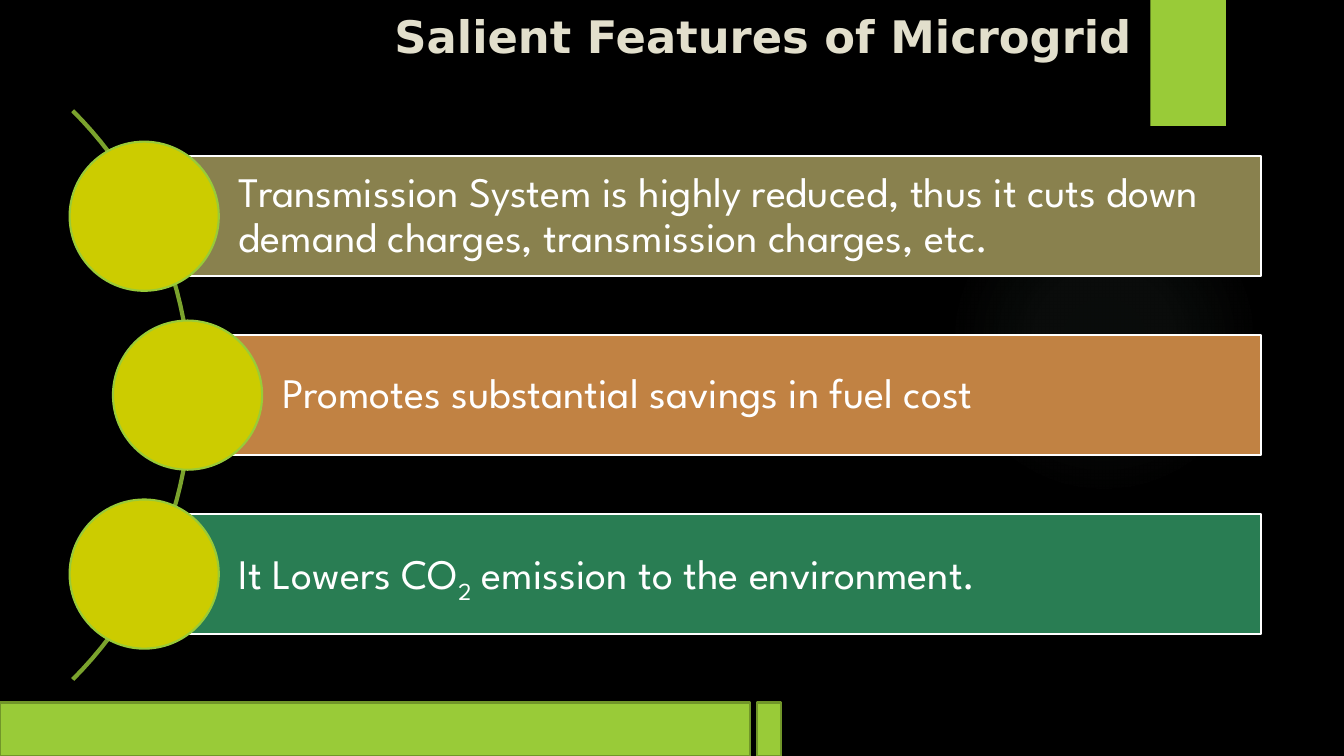
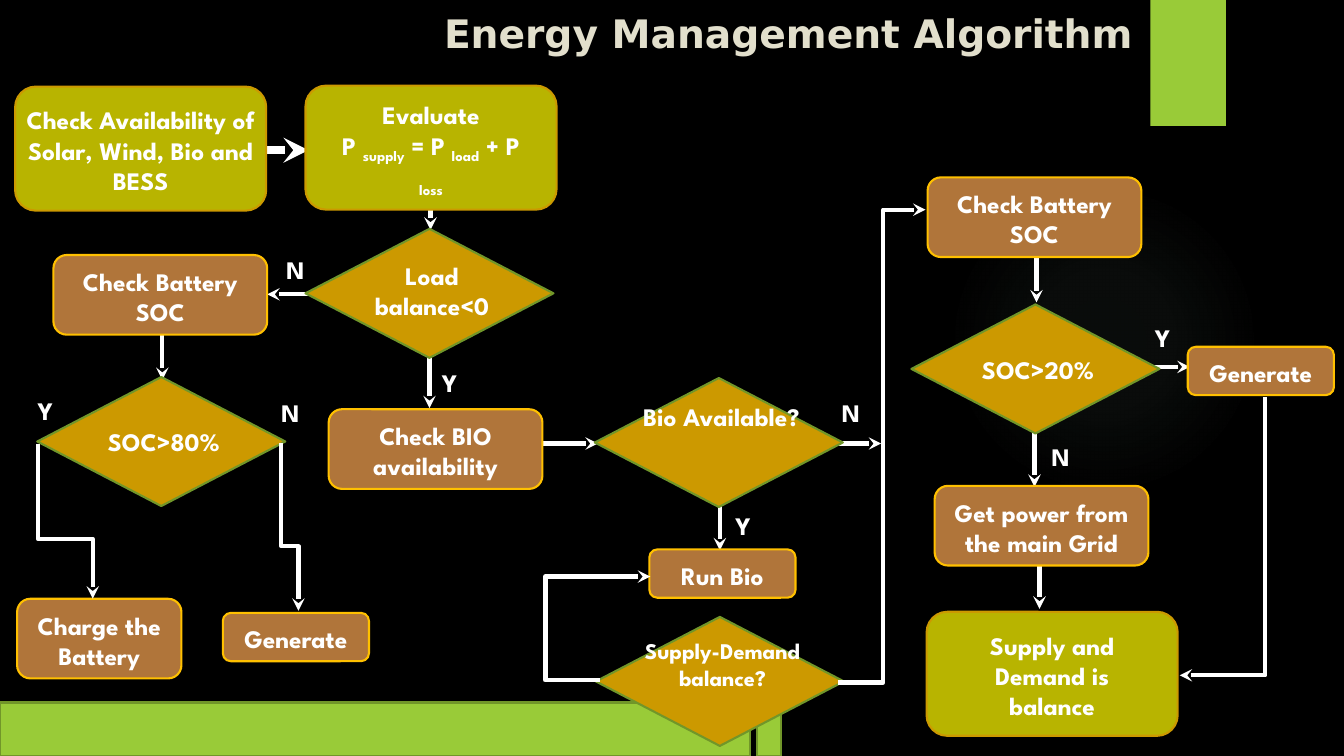
import math

import pptx
import pptx.dml.color
import pptx.enum.shapes
import pptx.enum.text
import pptx.oxml
import pptx.oxml.ns
import pptx.util

RGBColor = pptx.dml.color.RGBColor
Inches = pptx.util.Inches
Pt = pptx.util.Pt
SHAPE = pptx.enum.shapes.MSO_SHAPE
ALIGN = pptx.enum.text.PP_ALIGN
ANCHOR = pptx.enum.text.MSO_ANCHOR

BLACK = RGBColor(0x00, 0x00, 0x00)
WHITE = RGBColor(0xFF, 0xFF, 0xFF)
CREAM = RGBColor(0xE2, 0xDF, 0xCC)
LIME = RGBColor(0x99, 0xCB, 0x38)
DARK_LIME = RGBColor(0x71, 0x96, 0x29)
ARC_GREEN = RGBColor(0x7B, 0xA3, 0x2D)
YELLOW = RGBColor(0xCC, 0xCC, 0x00)
KHAKI = RGBColor(0x89, 0x81, 0x4E)
ORANGE = RGBColor(0xC1, 0x82, 0x43)
GREEN = RGBColor(0x29, 0x7D, 0x53)
OLIVE = RGBColor(0xB8, 0xB4, 0x00)
GOLD = RGBColor(0xCC, 0x99, 0x00)
BROWN = RGBColor(0xB0, 0x75, 0x3A)
AMBER = RGBColor(0xFF, 0xC0, 0x00)

TITLE_FONT = "DejaVu Sans"
BODY_FONT = "League Spartan"
TITLE_BOX = (2.39, 0.04, 8.94, 1.12)

# Text between tildes is set as subscript.
FEATURES = [
    ("Transmission System is highly reduced, thus it cuts down demand charges, "
     "transmission charges, etc.", 1.43, KHAKI),
    ("Promotes substantial savings in fuel cost", 1.86, ORANGE),
    ("It Lowers CO~2~ emission to the environment.", 1.43, GREEN),
]
BAR_TOP, BAR_PITCH, BAR_HEIGHT, BAR_RIGHT = 1.55, 1.775, 1.19, 12.51
DOT = 1.48
ARC_CENTER, ARC_RADIUS = (-2.1, 3.92), 3.99

# Box kind: width, height, fill, outline, side margin
BOX_KINDS = {
    "wide state": (2.49, 1.23, OLIVE, GOLD, 0.05),
    "state": (2.49, 1.23, OLIVE, GOLD, 0.2),
    "step": (2.12, 0.79, BROWN, AMBER, 0.05),
    "narrow step": (1.63, 0.79, BROWN, AMBER, 0.05),
    "action": (1.45, 0.48, BROWN, AMBER, 0.05),
}
BOXES = [
    ("wide state", 0.15, 0.86, "Check Availability of Solar, Wind, Bio and BESS"),
    ("state", 3.03, 0.85, "Evaluate\nP ~supply~ = P ~load~ + P ~loss~"),
    ("step", 0.53, 2.53, "Check Battery SOC"),
    ("narrow step", 0.17, 5.94, "Charge the Battery"),
    ("action", 2.21, 6.08, "Generate"),
    ("step", 3.26, 4.06, "Check BIO availability"),
    ("action", 6.44, 5.45, "Run Bio"),
    ("step", 9.2, 1.76, "Check Battery SOC"),
    ("action", 11.78, 3.44, "Generate"),
    ("step", 9.27, 4.82, "Get power from the main Grid"),
    ("state", 9.19, 6.07, "Supply and Demand is balance"),
]
DIAMOND_WIDTH, DIAMOND_HEIGHT = 2.46, 1.28
# Left, top, text, size, shift of the label from the middle
DECISIONS = [
    (3.03, 2.27, "Load balance<0", 18, -0.03),
    (0.37, 3.74, "SOC>80%", 18, 0),
    (5.9, 3.75, "Bio Available?", 18, -0.26),
    (5.91, 6.12, "Supply-Demand balance?", 16, -0.17),
    (9.04, 3.02, "SOC>20%", 18, 0),
]
BRANCHES = [
    ("Y", 4.05, 3.59), ("N", 2.52, 2.47), ("Y", 0.04, 3.87), ("N", 2.47, 3.89),
    ("Y", 6.96, 5.01), ("N", 8.03, 3.89), ("Y", 11.12, 3.15), ("N", 10.11, 4.33),
]
# Start, end, line width
ARROWS = [
    ((2.51, 1.49), (3.06, 1.49), 6),
    ((4.27, 1.73), (4.27, 2.28), 3),
    ((3.2, 2.92), (2.65, 2.92), 3),
    ((1.61, 3.22), (1.61, 3.77), 3),
    ((4.26, 3.5), (4.26, 4.05), 3),
    ((5.3, 4.4), (5.93, 4.4), 3),
    ((8.19, 4.4), (8.74, 4.4), 3),
    ((7.14, 4.91), (7.14, 5.46), 3),
    ((10.28, 2.45), (10.28, 3), 3),
    ((11.25, 3.64), (11.8, 3.64), 3),
    ((10.26, 4.28), (10.26, 4.83), 3),
    ((10.31, 5.49), (10.31, 6.04), 3),
]
ROUTES = [
    [(0.38, 4.41), (0.38, 5.35), (0.92, 5.35), (0.92, 5.94)],
    [(2.79, 4.4), (2.79, 5.42), (2.96, 5.42), (2.96, 6.06)],
    [(5.95, 6.75), (5.41, 6.75), (5.41, 5.72), (6.45, 5.72)],
    [(8.31, 6.77), (8.76, 6.77), (8.76, 2.08), (9.18, 2.08)],
    [(12.55, 3.94), (12.55, 6.7), (11.7, 6.7)],
]

GLOW_XML = """<a:gradFill xmlns:a="http://schemas.openxmlformats.org/drawingml/2006/main">
<a:gsLst>
<a:gs pos="0"><a:srgbClr val="87A896"><a:alpha val="7000"/></a:srgbClr></a:gs>
<a:gs pos="36000"><a:srgbClr val="87A896"><a:alpha val="6000"/></a:srgbClr></a:gs>
<a:gs pos="69000"><a:srgbClr val="87A896"><a:alpha val="0"/></a:srgbClr></a:gs>
</a:gsLst>
<a:path path="circle"><a:fillToRect l="50000" t="50000" r="50000" b="50000"/></a:path>
</a:gradFill>"""


def put_text(tf, text, size=18, font=BODY_FONT, color=WHITE, bold=True,
             align=ALIGN.CENTER, anchor=ANCHOR.MIDDLE, margins=(0.1, 0.05, 0.1, 0.05),
             spacing=None):
    tf.word_wrap = True
    tf.auto_size = pptx.enum.text.MSO_AUTO_SIZE.NONE
    tf.vertical_anchor = anchor
    tf.margin_left, tf.margin_top, tf.margin_right, tf.margin_bottom = map(Inches, margins)
    for i, line in enumerate(text.split("\n")):
        p = tf.add_paragraph() if i else tf.paragraphs[0]
        p.alignment = align
        if spacing:
            p.line_spacing = spacing
        for j, part in enumerate(line.split("~")):
            if not part:
                continue
            r = p.add_run()
            r.text = part
            r.font.name, r.font.size, r.font.bold = font, Pt(size), bold
            r.font.color.rgb = color
            if j % 2:
                r.font._element.set("baseline", "-25000")


def add_shape(s, kind, box, fill=None, line=None):
    sp = s.shapes.add_shape(kind, *map(Inches, box))
    sp.shadow.inherit = False
    if fill is not None:
        sp.fill.solid()
        sp.fill.fore_color.rgb = fill
    if line is None:
        sp.line.fill.background()
    else:
        sp.line.color.rgb = line
        sp.line.width = Pt(1.5)
    return sp


def add_label(s, box, text, **style):
    put_text(s.shapes.add_textbox(*map(Inches, box)).text_frame, text, **style)


def style_line(line, color, width, arrow=False):
    line.color.rgb = color
    line.width = Pt(width)
    if arrow:
        tail = pptx.oxml.ns.qn("a:tailEnd")
        line._get_or_add_ln().makeelement(tail)
        pptx.oxml.parse_xml
        line._get_or_add_ln().append(pptx.oxml.parse_xml(
            '<a:tailEnd xmlns:a="http://schemas.openxmlformats.org/drawingml/2006/main"'
            ' type="stealth"/>'))


def add_polyline(s, points, color, width, arrow=False):
    points = [(Inches(x), Inches(y)) for x, y in points]
    builder = s.shapes.build_freeform(*points[0])
    builder.add_line_segments(points[1:], close=False)
    sp = builder.convert_to_shape()
    sp.shadow.inherit = False
    sp.fill.background()
    style_line(sp.line, color, width, arrow)


def add_arrow(s, start, end, width):
    straight = pptx.enum.shapes.MSO_CONNECTOR.STRAIGHT
    c = s.shapes.add_connector(straight, *map(Inches, start + end))
    style_line(c.line, WHITE, width, arrow=True)
    spPr = c._element.spPr
    spPr.append(spPr.makeelement(pptx.oxml.ns.qn("a:effectLst")))


def add_slide(prs, title, size):
    """Add a slide with the shared glow, tab, footer bands and title."""
    s = prs.slides.add_slide(prs.slide_layouts[5])
    glow = add_shape(s, SHAPE.OVAL, (9.41, 1.83, 3.08, 3.08))
    glow._element.spPr.prstGeom.addnext(pptx.oxml.parse_xml(GLOW_XML))
    add_shape(s, SHAPE.RECTANGLE, (11.41, 0, 0.75, 1.25), LIME)
    for left, width in ((0, 7.44), (7.51, 0.24)):
        add_shape(s, SHAPE.RECTANGLE, (left, 6.97, width, 0.53), LIME, DARK_LIME)
    t = s.shapes.title
    t.left, t.top, t.width, t.height = map(Inches, TITLE_BOX)
    put_text(t.text_frame, title, size=size, font=TITLE_FONT, color=CREAM,
             align=ALIGN.RIGHT, anchor=ANCHOR.TOP)
    return s


def build_features(prs):
    s = add_slide(prs, "Salient Features of Microgrid", 32)
    angles = [math.radians(a) for a in range(-45, 46, 2)]
    add_polyline(s, [(ARC_CENTER[0] + ARC_RADIUS * math.cos(a),
                      ARC_CENTER[1] + ARC_RADIUS * math.sin(a)) for a in angles],
                 ARC_GREEN, 3)
    for i, (text, left, color) in enumerate(FEATURES):
        top = BAR_TOP + i * BAR_PITCH
        bar = add_shape(s, SHAPE.RECTANGLE, (left, top, BAR_RIGHT - left, BAR_HEIGHT),
                        color, WHITE)
        put_text(bar.text_frame, text, size=30, bold=False, align=ALIGN.LEFT,
                 margins=(0.94, 0.08, 0.08, 0.08), spacing=0.9)
        add_shape(s, SHAPE.OVAL, (left - DOT / 2, top + (BAR_HEIGHT - DOT) / 2, DOT, DOT),
                  YELLOW, LIME)


def build_algorithm(prs):
    s = add_slide(prs, "Energy Management Algorithm", 28)
    for arrow in ARROWS:
        add_arrow(s, *arrow)
    for kind, left, top, text in BOXES:
        width, height, fill, line, side = BOX_KINDS[kind]
        box = add_shape(s, SHAPE.ROUNDED_RECTANGLE, (left, top, width, height), fill, line)
        put_text(box.text_frame, text, margins=(side, 0.03, side, 0))
    for left, top, text, size, shift in DECISIONS:
        box = (left, top, DIAMOND_WIDTH, DIAMOND_HEIGHT)
        add_shape(s, SHAPE.DIAMOND, box, GOLD, DARK_LIME)
        add_label(s, (left + 0.33, top + shift, 1.85, DIAMOND_HEIGHT), text, size=size)
    for route in ROUTES:
        add_polyline(s, route, WHITE, 3, arrow=True)
    for text, left, top in BRANCHES:
        add_label(s, (left, top, 0.82, 0.4), text)


def main():
    prs = pptx.Presentation()
    prs.slide_width, prs.slide_height = Inches(13.33), Inches(7.5)
    background = prs.slide_master.background.fill
    background.solid()
    background.fore_color.rgb = BLACK
    build_features(prs)
    build_algorithm(prs)
    prs.save("out.pptx")


if __name__ == "__main__":
    main()
